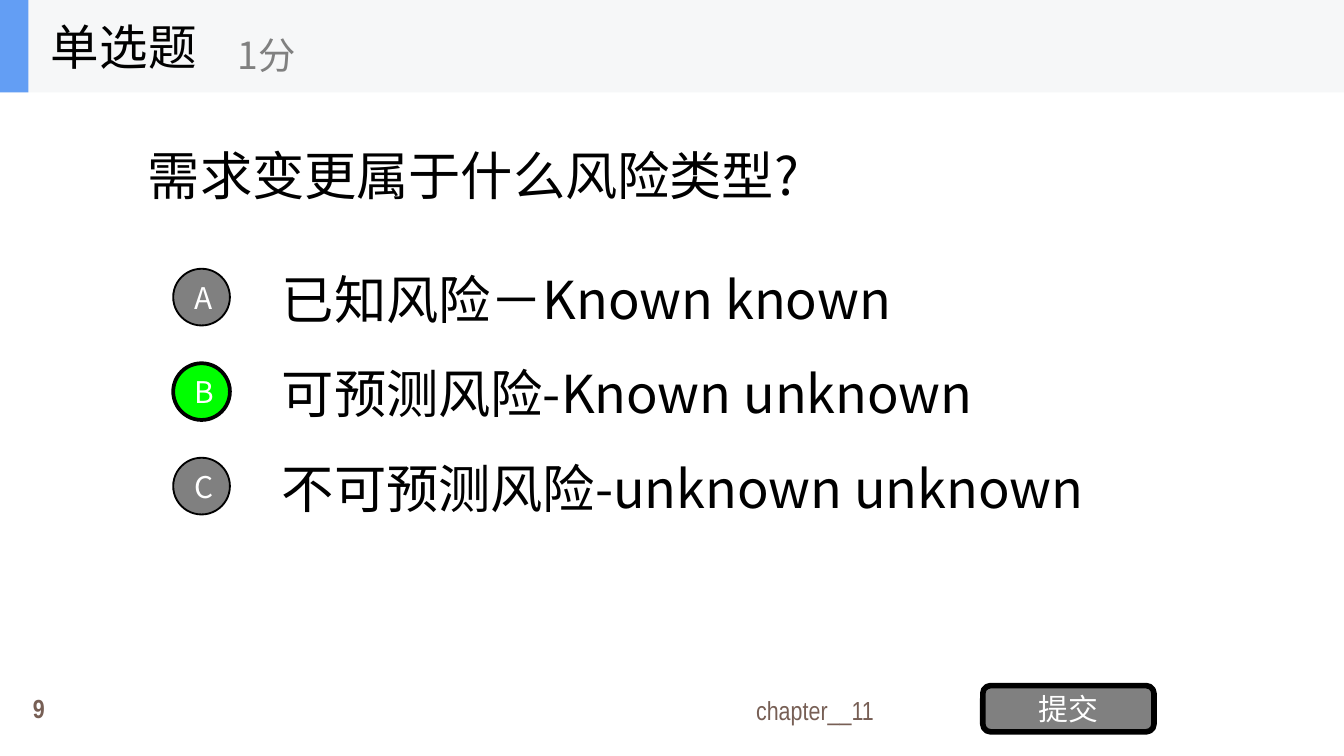
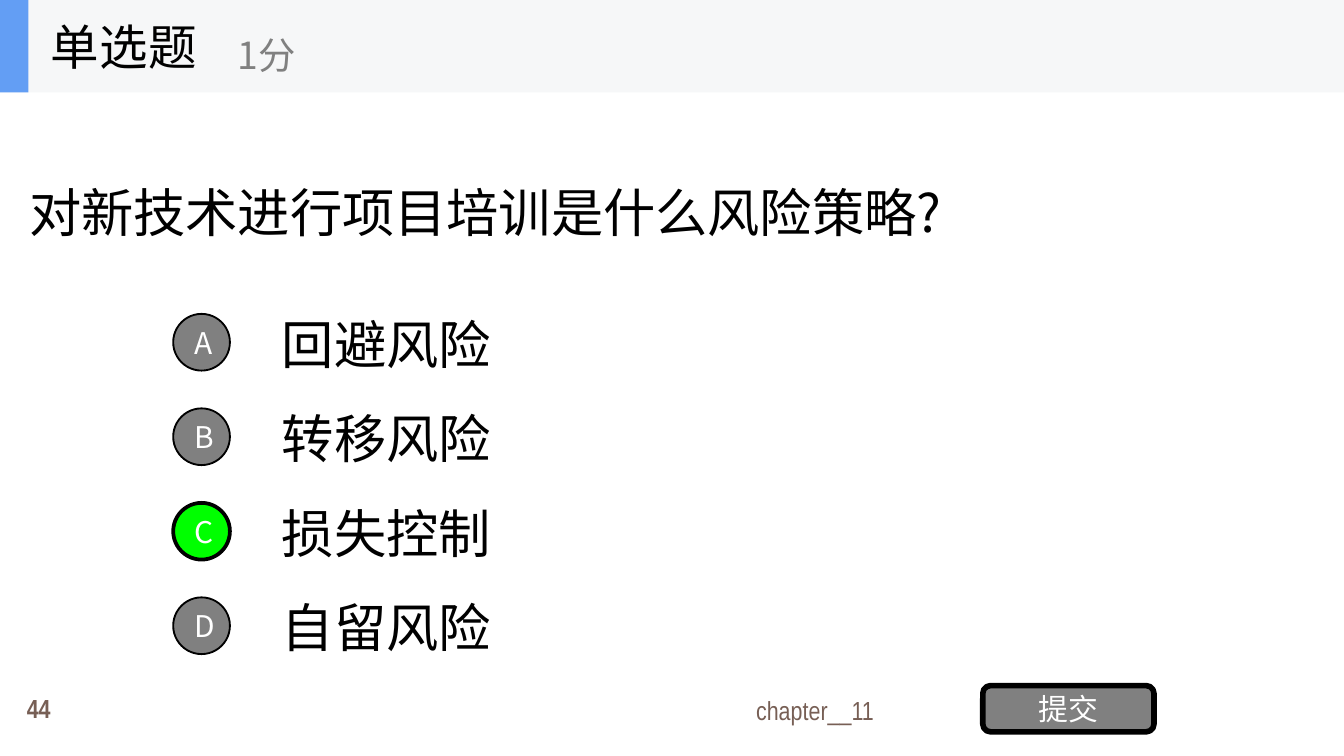
from lxml import etree
from pptx import Presentation
from pptx import util as u
from pptx.dml.color import RGBColor
from pptx.enum import shapes, text
from pptx.oxml.ns import qn

PX = 914400 / 128  # EMU in one px; the slide is 1280 x 720 px

COLORS = {
    "band": "F6F7F8",
    "accent": "639EF4",
    "ink": "000000",
    "gray": "808080",
    "correct": "00FF00",
    "white": "FFFFFF",
    "footer": "775F55",
}
BODY_FONT = "Noto Sans CJK JP"
LABEL_FONT = "Noto Sans CJK SC"
FOOTER_FONT = "Arial Narrow"

QUESTION_TYPE, POINTS = "单选题", "1分"
FOOTER, SUBMIT = "chapter__11", "提交"

QUESTIONS = [
    {
        "number": "9",
        "question": "需求变更属于什么风险类型?",
        "question_box": (128, 88, 1024, 156),
        "options": ["已知风险－Known known", "可预测风险-Known unknown",
                    "不可预测风险-unknown unknown"],
        "options_top": 250,
        "answer": "B",
    },
    {
        "number": "44",
        "question": "对新技术进行项目培训是什么风险策略?",
        "question_box": (15, 142, 1137, 120),
        "options": ["回避风险", "转移风险", "损失控制", "自留风险"],
        "options_top": 293,
        "answer": "C",
    },
]

OPTION_PITCH = 90
OPTION_LEFT, OPTION_WIDTH, OPTION_HEIGHT = 256, 896, 68
BADGE_LEFT, BADGE_SIZE, BADGE_DROP = 165, 54, 6
HEADER_HEIGHT = 88

LEFT, CENTER, RIGHT = text.PP_ALIGN.LEFT, text.PP_ALIGN.CENTER, text.PP_ALIGN.RIGHT


def emu(*lengths):
    return [u.Emu(round(length * PX)) for length in lengths]


def rgb(name):
    return RGBColor.from_string(COLORS[name])


def write(shape, words, size, font, color="ink", align=LEFT, bold=False):
    """Fill a shape with one vertically centred paragraph."""
    frame = shape.text_frame
    frame.word_wrap = True
    frame.auto_size = text.MSO_AUTO_SIZE.NONE
    frame.vertical_anchor = text.MSO_ANCHOR.MIDDLE
    frame.text = words
    paragraph = frame.paragraphs[0]
    paragraph.alignment = align
    paragraph.font.size = u.Pt(size)
    paragraph.font.bold = bold
    paragraph.font.color.rgb = rgb(color)
    paragraph.font.name = font
    # Chinese characters take their typeface from a:ea
    defaults = paragraph._p.pPr.find(qn("a:defRPr"))
    etree.SubElement(defaults, qn("a:ea")).set("typeface", font)
    return paragraph


def add_text(parent, box, *args, **style):
    return write(parent.add_textbox(*emu(*box)), *args, **style)


def add_block(parent, kind, box, fill, line_width=0):
    block = parent.add_shape(kind, *emu(*box))
    block.shadow.inherit = False
    block.fill.solid()
    block.fill.fore_color.rgb = rgb(fill)
    if line_width:
        block.line.color.rgb = rgb("ink")
        block.line.width = u.Pt(line_width)
    else:
        block.line.fill.background()
    return block


def add_footer(slide, number):
    add_text(slide.shapes, (86, 657, 759, 39), FOOTER, 14, FOOTER_FONT,
             "footer", RIGHT)
    page_number = add_text(slide.shapes, (0, 657, 74, 39), number, 14,
                           FOOTER_FONT, "footer", CENTER, bold=True)
    page_number.line_spacing = 0.9


def add_question(slide, question, box):
    title = slide.shapes.title
    title.left, title.top, title.width, title.height = emu(*box)
    write(title, question, 28, BODY_FONT)


def add_options(slide, options, top, answer):
    for row, (letter, option) in enumerate(zip("ABCD", options)):
        y = top + row * OPTION_PITCH
        add_text(slide.shapes, (OPTION_LEFT, y, OPTION_WIDTH, OPTION_HEIGHT),
                 option, 28, BODY_FONT)
        fill, line_width = ("correct", 2) if letter == answer else ("gray", 1)
        badge = add_block(slide.shapes, shapes.MSO_SHAPE.OVAL,
                          (BADGE_LEFT, y + BADGE_DROP, BADGE_SIZE, BADGE_SIZE),
                          fill, line_width)
        write(badge, letter, 16, LABEL_FONT, "white", CENTER)


def add_submit_button(slide):
    button = add_block(slide.shapes, shapes.MSO_SHAPE.ROUNDED_RECTANGLE,
                       (936, 653, 163, 44), "gray", 3)
    write(button, SUBMIT, 16, LABEL_FONT, "white", CENTER)


def add_header(slide):
    header = slide.shapes.add_group_shape().shapes
    for width, fill in ((1280, "band"), (27, "accent")):
        add_block(header, shapes.MSO_SHAPE.RECTANGLE,
                  (0, 0, width, HEADER_HEIGHT), fill)
    add_text(header, (36, 0, 266, HEADER_HEIGHT), QUESTION_TYPE, 26, LABEL_FONT)
    add_text(header, (214, 16, 320, 72), POINTS, 20, LABEL_FONT, "gray")


def main():
    deck = Presentation()
    deck.slide_width, deck.slide_height = emu(1280, 720)
    title_only = deck.slide_layouts[5]
    for item in QUESTIONS:
        slide = deck.slides.add_slide(title_only)
        add_footer(slide, item["number"])
        add_question(slide, item["question"], item["question_box"])
        add_options(slide, item["options"], item["options_top"], item["answer"])
        add_submit_button(slide)
        add_header(slide)
    deck.save("out.pptx")


if __name__ == "__main__":
    main()
